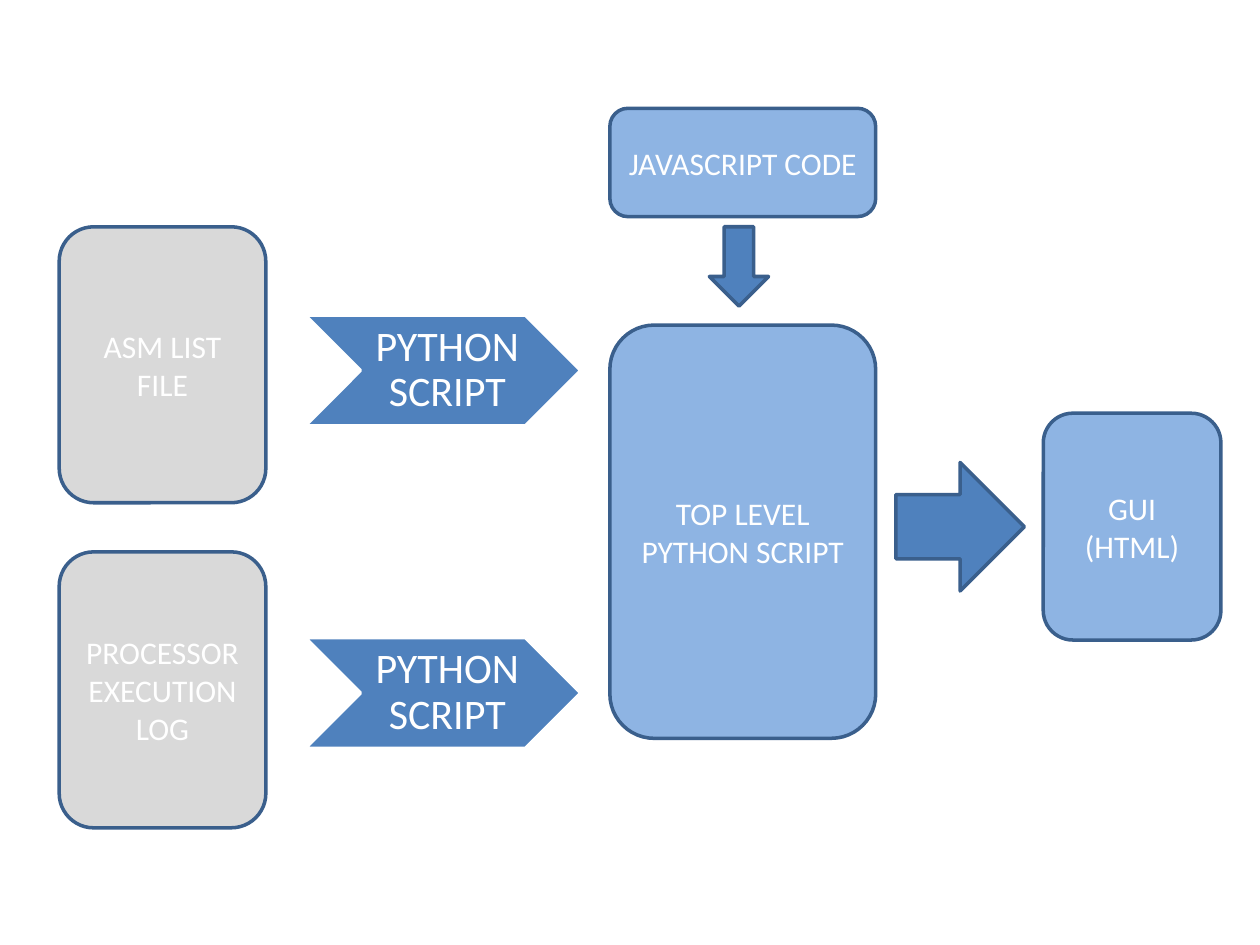
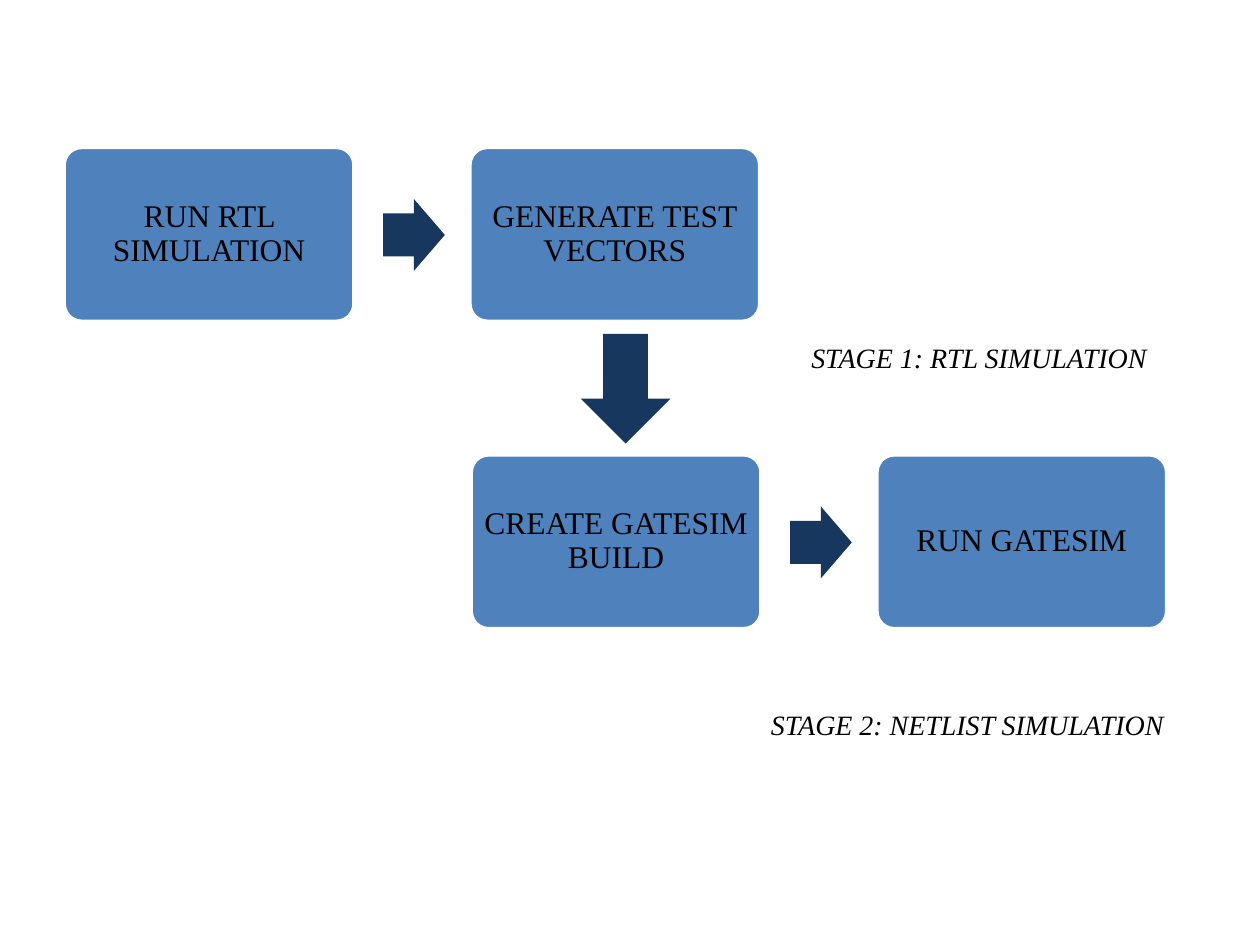
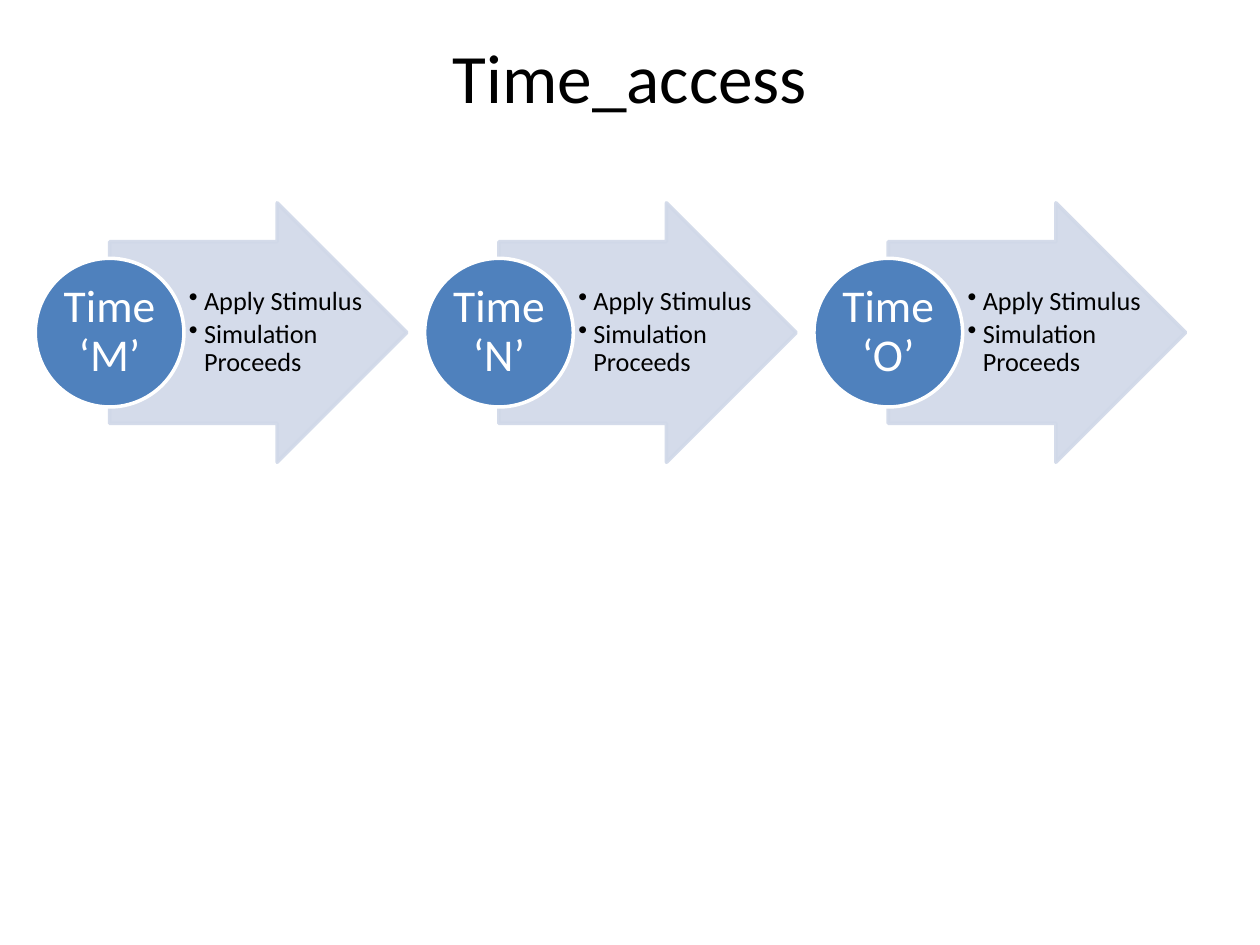
import pptx
import pptx.dml.color
import pptx.enum.shapes
import pptx.enum.text
import pptx.oxml.ns
import pptx.util
from lxml import etree

RGBColor = pptx.dml.color.RGBColor
Inches = pptx.util.Inches
Pt = pptx.util.Pt
SHAPE = pptx.enum.shapes.MSO_SHAPE
ALIGN = pptx.enum.text.PP_ALIGN
MIDDLE = pptx.enum.text.MSO_ANCHOR.MIDDLE
qn = pptx.oxml.ns.qn

WHITE = RGBColor(0xFF, 0xFF, 0xFF)
BLACK = RGBColor(0, 0, 0)
BLUE = RGBColor(0x4F, 0x81, 0xBD)
LIGHT_BLUE = RGBColor(0x8E, 0xB4, 0xE3)
PALE_BLUE = RGBColor(0xD0, 0xD8, 0xE8)
EDGE_BLUE = RGBColor(0x3A, 0x5F, 0x8C)
NAVY = RGBColor(0x17, 0x37, 0x5E)
GRAY = RGBColor(0xD9, 0xD9, 0xD9)
SANS, SERIF = "Calibri", "Times New Roman"
DEFAULT_INSETS = (0.1, 0.05, 0.1, 0.05)

# Tool flow: two input rows feed one top-level script.
INPUT_ROWS = [(1.8, "ASM LIST FILE", 2.5), (4.38, "PROCESSOR EXECUTION LOG", 5.06)]
CONVERTER = "PYTHON SCRIPT"
FLOW_BOXES = [
    ("TOP LEVEL PYTHON SCRIPT", (4.84, 2.58, 2.11, 3.28)),
    ("JAVASCRIPT CODE", (4.84, 0.86, 2.11, 0.86)),
    ("GUI (HTML)", (8.28, 3.28, 1.41, 1.8)),
]
FLOW_ARROWS = [
    (SHAPE.DOWN_ARROW, (5.63, 1.8, 0.47, 0.63)),
    (SHAPE.RIGHT_ARROW, (7.11, 3.67, 1.02, 1.02)),
]

# Simulation stages: left and top of each row, then its two steps.
STAGES = [
    (0.51, 1.17, ("RUN RTL SIMULATION", "GENERATE TEST VECTORS")),
    (3.74, 3.61, ("CREATE GATESIM BUILD", "RUN GATESIM")),
]
STAGE_LABELS = [
    ("STAGE 1: RTL SIMULATION", (6.34, 2.65, 2.91, 0.37)),
    ("STAGE 2: NETLIST SIMULATION", (6.02, 5.56, 3.4, 0.37)),
]
STEP_WIDTH, STEP_HEIGHT, STEP_PITCH = 2.3, 1.38, 3.22

# Time steps
TIME_TITLE = "Time_access"
TIMES = ["Time ‘M’", "Time ‘N’", "Time ‘O’"]
TIME_ACTIONS = ["Apply Stimulus", "Simulation Proceeds"]
TIME_LEFT, TIME_PITCH, CIRCLE = 0.28, 3.09, 1.18
ARROW_TOP, ARROW_WIDTH, ARROW_HEIGHT = 1.61, 2.36, 2.06


def write(shape, lines, size, color, font=SANS, align=ALIGN.CENTER,
          insets=DEFAULT_INSETS, spacing=1.0, italic=False, bullet=False):
    frame = shape.text_frame
    frame.word_wrap = True
    frame.vertical_anchor = MIDDLE
    (frame.margin_left, frame.margin_top,
     frame.margin_right, frame.margin_bottom) = map(Inches, insets)
    frame.text = "\n".join(lines)
    for paragraph in frame.paragraphs:
        paragraph.alignment = align
        paragraph.line_spacing = spacing
        if bullet:
            paragraph.space_after = Pt(2.25)
            properties = paragraph._p.get_or_add_pPr()
            properties.set("marL", str(Inches(0.12)))
            properties.set("indent", str(-Inches(0.12)))
            etree.SubElement(properties, qn("a:buChar"), char="•")
        for run in paragraph.runs:
            run.font.name = font
            run.font.size = Pt(size)
            run.font.italic = italic
            run.font.color.rgb = color


def add_block(slide, kind, box, fill, line=None, adjustments=()):
    shape = slide.shapes.add_shape(kind, *map(Inches, box))
    shape.shadow.inherit = False
    shape.fill.solid()
    shape.fill.fore_color.rgb = fill
    if line is None:
        shape.line.fill.background()
    else:
        shape.line.color.rgb = line
        shape.line.width = Pt(2)
    for index, value in enumerate(adjustments):
        shape.adjustments[index] = value
    return shape


def add_label(slide, lines, box, size, **style):
    label = slide.shapes.add_textbox(*map(Inches, box))
    write(label, lines, size, BLACK, **style)


def set_opacity(shape, percent):
    """Make the fill and the line of a shape equally transparent."""
    for color in shape._element.spPr.iter(qn("a:srgbClr")):
        etree.SubElement(color, qn("a:alpha"), val=str(percent * 1000))


def draw_tool_flow(slide):
    boxes = [(text, box, LIGHT_BLUE) for text, box in FLOW_BOXES]
    for top, text, chevron_top in INPUT_ROWS:
        boxes.append((text, (0.47, top, 1.64, 2.19), GRAY))
        chevron = add_block(slide, SHAPE.CHEVRON, (2.42, chevron_top, 2.19, 0.88), BLUE, WHITE)
        write(chevron, [CONVERTER], 24, WHITE, insets=(0.07, 0.04, 0, 0.04), spacing=0.9)
    for text, box, fill in boxes:
        write(add_block(slide, SHAPE.ROUNDED_RECTANGLE, box, fill, EDGE_BLUE), [text], 18, WHITE)
    for kind, box in FLOW_ARROWS:
        add_block(slide, kind, box, BLUE, EDGE_BLUE)


def draw_stages(slide):
    for left, top, steps in STAGES:
        for column, text in enumerate(steps):
            box = (left + column * STEP_PITCH, top, STEP_WIDTH, STEP_HEIGHT)
            step = add_block(slide, SHAPE.ROUNDED_RECTANGLE, box, BLUE, WHITE, (0.1,))
            write(step, [text], 18, BLACK, font=SERIF, insets=(0.03,) * 4, spacing=0.9)
        add_block(slide, SHAPE.RIGHT_ARROW, (left + 2.53, top + 0.41, 0.49, 0.57),
                  NAVY, adjustments=(0.6, 0.5))
    add_block(slide, SHAPE.DOWN_ARROW, (4.61, 2.65, 0.71, 0.87), NAVY)
    for text, box in STAGE_LABELS:
        add_label(slide, [text], box, 16, font=SERIF, align=ALIGN.LEFT, italic=True)


def draw_time_steps(slide):
    add_label(slide, [TIME_TITLE], (0.5, 0.3, 9, 0.61), 39.6)
    radius = CIRCLE / 2
    circle_top = ARROW_TOP + ARROW_HEIGHT / 2 - radius
    for column, text in enumerate(TIMES):
        left = TIME_LEFT + column * TIME_PITCH
        arrow_box = (left + radius, ARROW_TOP, ARROW_WIDTH, ARROW_HEIGHT)
        arrow = add_block(slide, SHAPE.RIGHT_ARROW, arrow_box, PALE_BLUE, PALE_BLUE, (0.7, 0.5))
        set_opacity(arrow, 90)
        actions_box = (left + CIRCLE, ARROW_TOP, ARROW_WIDTH - radius, ARROW_HEIGHT)
        add_label(slide, TIME_ACTIONS, actions_box, 15, align=ALIGN.LEFT,
                  insets=(0.04, 0.01, 0.02, 0.01), spacing=0.9, bullet=True)
        circle = add_block(slide, SHAPE.OVAL, (left, circle_top, CIRCLE, CIRCLE), BLUE, WHITE)
        write(circle, [text], 26, WHITE, insets=(0.02,) * 4, spacing=0.9)


def main():
    presentation = pptx.Presentation()
    presentation.slide_width = Inches(10)
    presentation.slide_height = Inches(7.5)
    for draw in (draw_tool_flow, draw_stages, draw_time_steps):
        draw(presentation.slides.add_slide(presentation.slide_layouts[6]))
    presentation.save("out.pptx")


if __name__ == "__main__":
    main()
